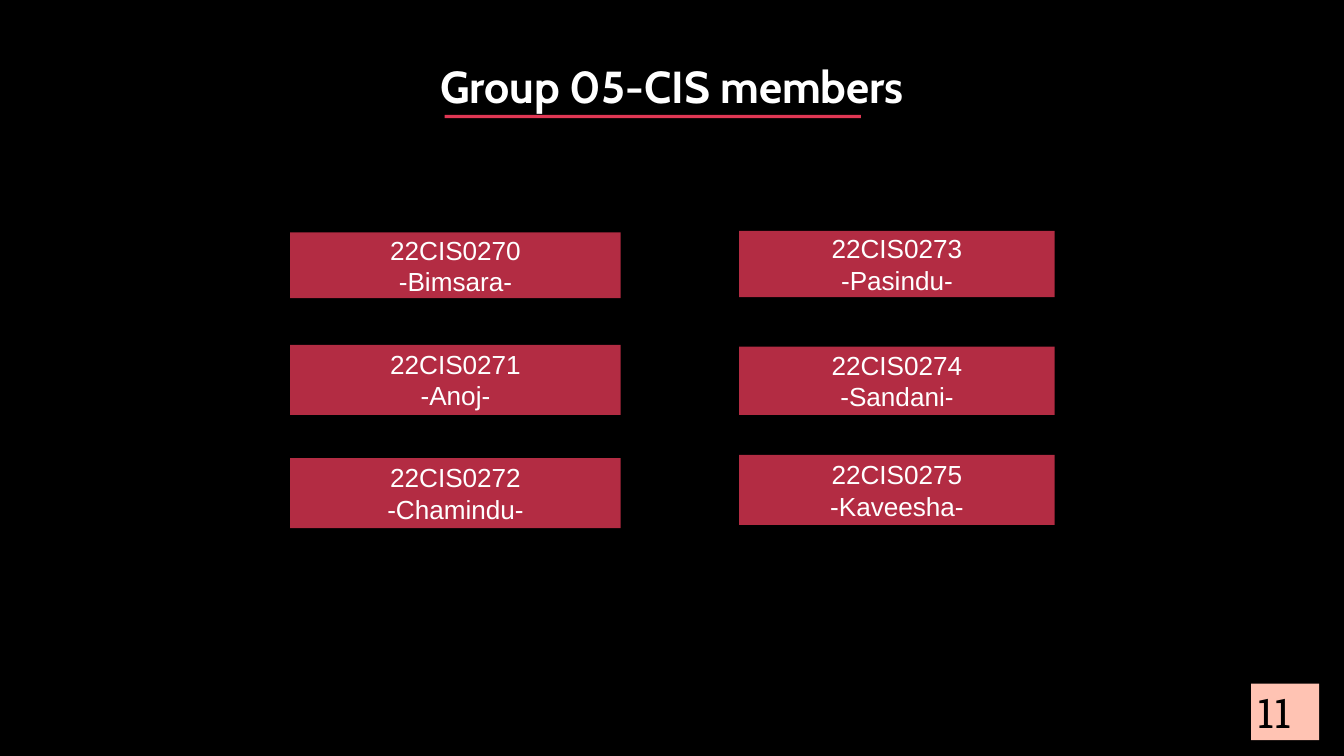
from lxml import etree
from pptx import Presentation
from pptx import util as u
from pptx.dml.color import RGBColor
from pptx.enum import shapes, text
from pptx.oxml import ns

BLACK = RGBColor(0x00, 0x00, 0x00)
WHITE = RGBColor(0xFF, 0xFF, 0xFF)
CRIMSON = RGBColor(0xE0, 0x37, 0x54)
PEACH = RGBColor(0xFF, 0xC3, 0xB3)

# Each column: left, width, then (top, height, student number, name) per member.
COLUMNS = [
    (311, 354, [
        (249, 70.5, "22CIS0270", "-Bimsara-"),
        (369.5, 75, "22CIS0271", "-Anoj-"),
        (491, 75, "22CIS0272", "-Chamindu-"),
    ]),
    (792, 338, [
        (247.5, 71, "22CIS0273", "-Pasindu-"),
        (371.5, 73, "22CIS0274", "-Sandani-"),
        (487.5, 75, "22CIS0275", "-Kaveesha-"),
    ]),
]


def add_rectangle(page, left, top, width, height, color):
    box = page.shapes.add_shape(
        shapes.MSO_SHAPE.RECTANGLE, u.Pt(left), u.Pt(top), u.Pt(width), u.Pt(height))
    box.shadow.inherit = False
    box.fill.solid()
    box.fill.fore_color.rgb = color
    box.line.fill.background()
    return box


def set_opacity(box, percent):
    color = box.fill._xPr.find(".//" + ns.qn("a:srgbClr"))
    etree.SubElement(color, ns.qn("a:alpha"), val=str(percent * 1000))


def write_lines(box, lines, font, size, color, align, anchor, bold=False):
    frame = box.text_frame
    frame.word_wrap = True
    frame.auto_size = text.MSO_AUTO_SIZE.NONE
    frame.vertical_anchor = anchor
    for index, line in enumerate(lines):
        para = frame.add_paragraph() if index else frame.paragraphs[0]
        para.alignment = align
        span = para.add_run()
        span.text = line
        span.font.name = font
        span.font.size = u.Pt(size)
        span.font.bold = bold
        span.font.color.rgb = color


def add_title(page, title):
    box = page.shapes.title
    box.left, box.top, box.width, box.height = map(u.Pt, (420, 30, 600, 84))
    write_lines(box, [title], "Cabin", 48, WHITE, text.PP_ALIGN.CENTER,
                text.MSO_ANCHOR.TOP, bold=True)
    box.text_frame.paragraphs[0].line_spacing = 1.5
    add_rectangle(page, 476.5, 123, 446, 3.5, CRIMSON)


def add_member(page, left, top, width, height, number, name):
    box = add_rectangle(page, left, top, width, height, CRIMSON)
    set_opacity(box, 80)
    write_lines(box, [number, name], "Arial", 28, WHITE,
                text.PP_ALIGN.CENTER, text.MSO_ANCHOR.MIDDLE)


def add_page_number(page, number):
    box = add_rectangle(page, 1340.5, 732.5, 73, 60.5, PEACH)
    write_lines(box, [number], "Roboto Slab", 44, BLACK,
                text.PP_ALIGN.LEFT, text.MSO_ANCHOR.TOP)


def main():
    deck = Presentation()
    deck.slide_width, deck.slide_height = u.Pt(1440), u.Pt(810)
    page = deck.slides.add_slide(deck.slide_layouts.get_by_name("Title Only"))
    page.background.fill.solid()
    page.background.fill.fore_color.rgb = BLACK

    add_title(page, "Group 05-CIS members")
    for left, width, members in COLUMNS:
        for top, height, number, name in members:
            add_member(page, left, top, width, height, number, name)
    add_page_number(page, "11")
    deck.save("out.pptx")


if __name__ == "__main__":
    main()
